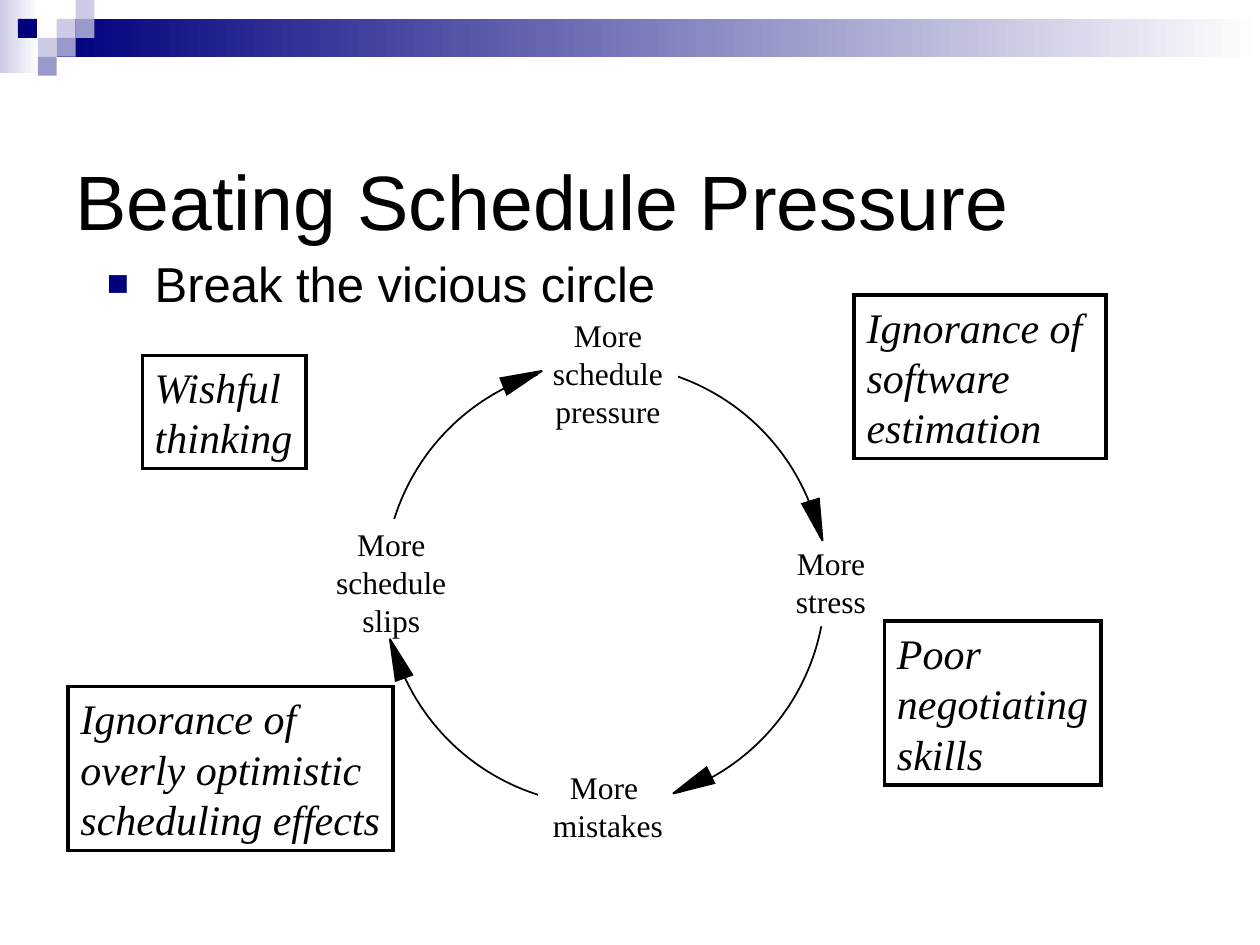
from lxml.etree import SubElement
from pptx import Presentation
from pptx.dml.color import RGBColor
from pptx.enum.shapes import MSO_SHAPE
from pptx.enum.text import MSO_ANCHOR, MSO_AUTO_SIZE, PP_ALIGN
from pptx.oxml.ns import qn
from pptx.util import Inches, Pt

COLORS = {"navy": "00007D", "violet": "9999CC", "lilac": "CCCCE6",
          "white": "FFFFFF", "black": "000000"}
FORMATS = {
    "title": {"name": "Arial", "size": Pt(44)},
    "body": {"name": "Arial", "size": Pt(28)},
    "stage": {"name": "Times New Roman", "size": Pt(18)},
    "cause": {"name": "Times New Roman", "size": Pt(24), "italic": True},
}
TILE = 0.15
TILES = [  # column and row in the corner mosaic
    (3, 1, "lilac"), (4, 0, "lilac"), (4, 1, "violet"), (2, 2, "lilac"),
    (0.95, 1, "navy"), (3, 2, "violet"), (2, 3, "violet"),
]
STAGES = [
    ((6.2, 4.27, 0.79, 0.7), ["More", "stress"]),
    ((4.27, 6.05, 1.11, 0.7), ["More ", "mistakes"]),
    ((2.55, 4.12, 1.11, 1), ["More", "schedule", "slips"]),
    ((4.27, 2.46, 1.11, 1), ["More", "schedule", "pressure"]),
]
ARROWHEADS = [(4.08, 2.84, 68), (3.08, 5.06, 340), (5.42, 6.06, 244), (6.41, 3.97, 163)]
CAUSES = [
    ((1.13, 2.82, 1.3, 0.9), ["Wishful", "thinking"]),
    ((6.78, 2.34, 2, 1.3), ["Ignorance of", "software", "estimation"]),
    ((0.54, 5.45, 2.58, 1.3), ["Ignorance of", "overly optimistic", "scheduling effects"]),
    ((7.02, 4.93, 1.72, 1.3), ["Poor", "negotiating", "skills"]),
]


def rgb(color):
    return RGBColor.from_string(COLORS[color])


class SlideBuilder:
    """Holds the current slide and draws its elements in the shared style."""

    def __init__(self, page):
        self.page = page

    def shape(self, kind, place, fill, line=None, rotation=0):
        shape = self.page.shapes.add_shape(kind, *map(Inches, place))
        shape.shadow.inherit = False
        shape.rotation = rotation
        shape.fill.solid()
        shape.fill.fore_color.rgb = rgb(fill)
        self.outline(shape, line)
        return shape

    def outline(self, shape, width):
        """Give the shape a black line with sharp corners, or no line."""
        if width is None:
            shape.line.fill.background()
        else:
            shape.line.color.rgb = rgb("black")
            shape.line.width = Pt(width)
            line = shape.element.spPr.find(qn("a:ln"))
            SubElement(line, qn("a:miter"), lim="800000")

    def fade(self, place, color):
        """Draw a band that runs from the colour to white, left to right."""
        band = self.shape(MSO_SHAPE.RECTANGLE, place, color)
        band.fill.gradient()
        band.fill.gradient_angle = 0
        for stop, name, position in zip(band.fill.gradient_stops, (color, "white"), (0, 1)):
            stop.color.rgb = rgb(name)
            stop.position = position

    def text(self, place, lines, style, align=PP_ALIGN.LEFT, anchor=MSO_ANCHOR.TOP,
             bullet=False):
        box = self.page.shapes.add_textbox(*map(Inches, place))
        frame = box.text_frame
        frame.word_wrap = True
        frame.vertical_anchor = anchor
        for index, line in enumerate(lines):
            paragraph = frame.add_paragraph() if index else frame.paragraphs[0]
            paragraph.alignment = align
            if bullet:
                self.square_bullet(paragraph)
            span = paragraph.add_run()
            span.text = line
            for name, value in FORMATS[style].items():
                setattr(span.font, name, value)
            span.font.color.rgb = rgb("black")
        return box

    def square_bullet(self, paragraph):
        properties = paragraph._p.get_or_add_pPr()
        properties.set("marL", str(Inches(0.38)))
        properties.set("indent", str(-Inches(0.38)))
        color = SubElement(properties, qn("a:buClr"))
        SubElement(color, qn("a:srgbClr"), val=COLORS["navy"])
        SubElement(properties, qn("a:buSzPct"), val="75000")
        SubElement(properties, qn("a:buFont"), typeface="Arial")
        SubElement(properties, qn("a:buChar"), char="■")

    def fitted(self, place, lines, style, **options):
        """Add a text box that takes its size from its unwrapped lines."""
        box = self.text(place, lines, style, **options)
        box.text_frame.word_wrap = False
        box.text_frame.auto_size = MSO_AUTO_SIZE.SHAPE_TO_FIT_TEXT
        return box

    def stage(self, place, lines):
        box = self.fitted(place, lines, "stage", align=PP_ALIGN.CENTER)
        box.fill.solid()
        box.fill.fore_color.rgb = rgb("white")

    def cause(self, place, lines):
        self.outline(self.fitted(place, lines, "cause"), 2)


def main():
    deck = Presentation()
    deck.slide_width, deck.slide_height = Inches(10), Inches(7.5)
    builder = SlideBuilder(deck.slides.add_slide(deck.slide_layouts[6]))

    builder.fade((0, 0, 0.31, 0.58), "lilac")
    builder.fade((0.45, 0.15, 9.55, 0.3), "navy")
    for column, row, color in TILES:
        builder.shape(MSO_SHAPE.RECTANGLE, (column * TILE, row * TILE, TILE, TILE), color)

    builder.text((0.5, 0.5, 9, 1.5), ["Beating Schedule Pressure"], "title",
                 anchor=MSO_ANCHOR.BOTTOM)
    builder.text((0.75, 1.96, 8.5, 4.5), ["Break the vicious circle"], "body", bullet=True)

    builder.shape(MSO_SHAPE.OVAL, (3.05, 2.89, 3.5, 3.5), "white", line=1)
    for place, lines in STAGES:
        builder.stage(place, lines)
    for left, top, rotation in ARROWHEADS:
        builder.shape(MSO_SHAPE.ISOSCELES_TRIANGLE, (left, top, 0.14, 0.33), "black",
                      line=1, rotation=rotation)
    for place, lines in CAUSES:
        builder.cause(place, lines)

    deck.save("out.pptx")


if __name__ == "__main__":
    main()
